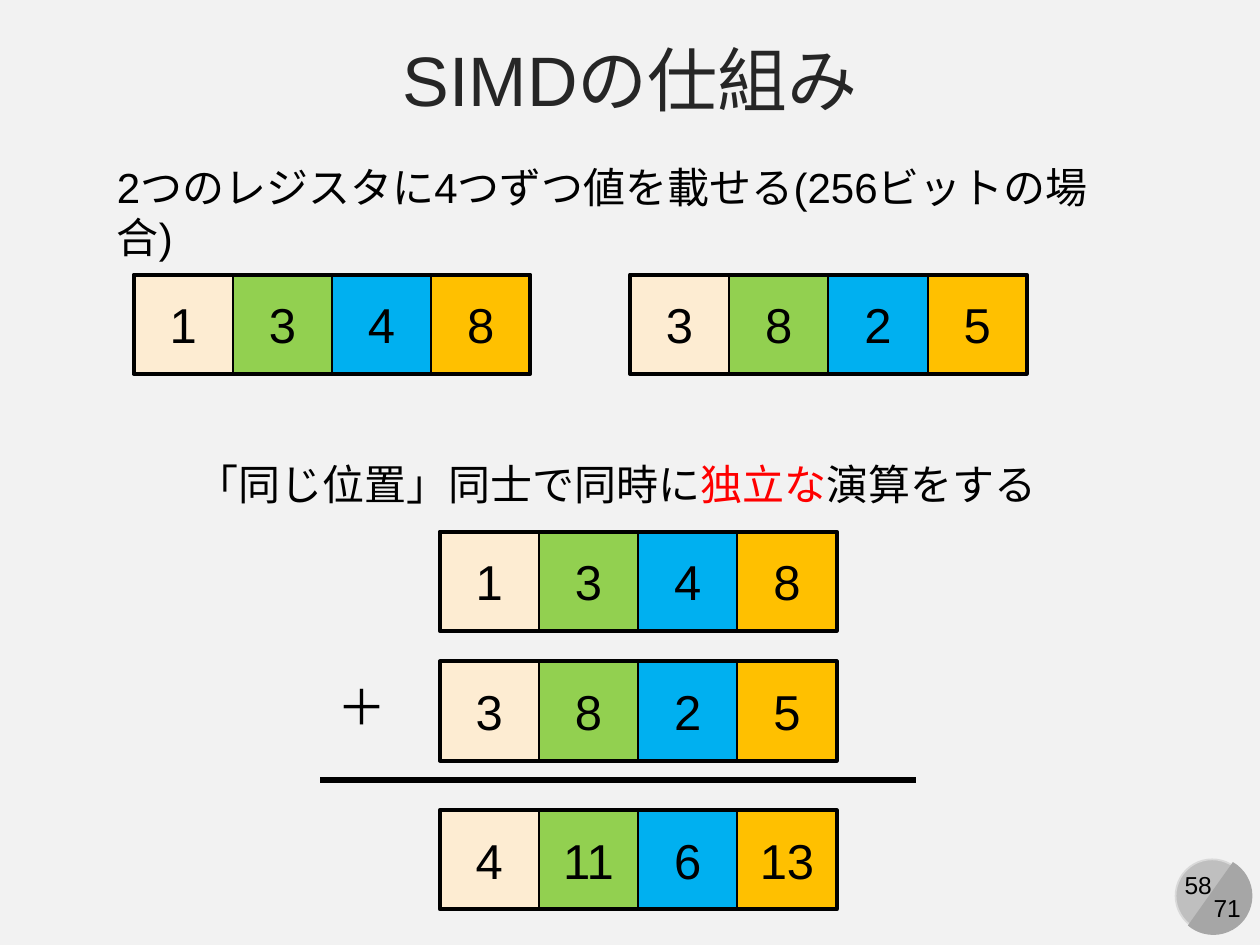
"""Builds the slide that explains how SIMD adds registers."""
from lxml import etree
from pptx import Presentation
from pptx.dml.color import RGBColor
from pptx.enum.shapes import MSO_CONNECTOR, MSO_SHAPE
from pptx.enum.text import MSO_ANCHOR, PP_ALIGN
from pptx.oxml.ns import qn
from pptx.util import Inches, Pt

RECT, OVAL, CHORD = MSO_SHAPE.RECTANGLE, MSO_SHAPE.OVAL, MSO_SHAPE.CHORD
STRAIGHT = MSO_CONNECTOR.STRAIGHT
LEFT, CENTER = PP_ALIGN.LEFT, PP_ALIGN.CENTER
TOP, MIDDLE = MSO_ANCHOR.TOP, MSO_ANCHOR.MIDDLE

FONT, BLACK, RED = "Arial", "000000", "FF0000"
LANES = ["FDECD2", "92D050", "00B0F0", "FFC000"]
BAR = 3.15
CELL = BAR / len(LANES)
SUM_LEFT = 3.49

TITLE = "SIMDの仕組み"
REGISTERS = [
    (1.06, 2.18, [1, 3, 4, 8]),
    (5, 2.18, [3, 8, 2, 5]),
    (SUM_LEFT, 4.22, [1, 3, 4, 8]),
    (SUM_LEFT, 5.25, [3, 8, 2, 5]),
    (SUM_LEFT, 6.43, [4, 11, 6, 13]),
]
LABELS = [
    ((0.83, 1.23, 8.33, 0.5), 24, LEFT, True,
     [("2つのレジスタに4つずつ値を載せる(256ビットの場合)", BLACK)]),
    ((1.46, 3.59, 6.93, 0.5), 24, LEFT, True,
     [("「同じ位置」同士で同時に", BLACK), ("独立な", RED), ("演算をする", BLACK)]),
    ((2.58, 5.32, 0.59, 0.57), 28, LEFT, False, [("＋", BLACK)]),
    ((9.29, 6.86, 0.44, 0.34), 14, CENTER, False, [("58", BLACK)]),
    ((9.53, 7.04, 0.42, 0.34), 14, CENTER, False, [("71", BLACK)]),
]


def rgb(color):
    return RGBColor.from_string(color)


def write(sp, runs, size, align=CENTER, anchor=MIDDLE, wrap=True):
    tf = sp.text_frame
    tf.word_wrap, tf.vertical_anchor = wrap, anchor
    p = tf.paragraphs[0]
    p.alignment, p.space_before = align, Pt(0)
    for text, color in runs:
        r = p.add_run()
        r.text = text
        r.font.name, r.font.size = FONT, Pt(size)
        r.font.color.rgb = rgb(color)


def add_shape(slide, kind, box, fill=None, line=None, width=1):
    sp = slide.shapes.add_shape(kind, *map(Inches, box))
    sp.shadow.inherit = False
    if fill:
        sp.fill.solid()
        sp.fill.fore_color.rgb = rgb(fill)
    else:
        sp.fill.background()
    if line:
        sp.line.color.rgb, sp.line.width = rgb(line), Pt(width)
    else:
        sp.line.fill.background()
    return sp


def add_register(slide, left, top, values):
    for i, (value, fill) in enumerate(zip(values, LANES)):
        sp = add_shape(slide, RECT, (left + i * CELL, top, CELL, CELL), fill, BLACK)
        write(sp, [(str(value), BLACK)], 28)
    add_shape(slide, RECT, (left, top, BAR, CELL), None, BLACK, 2.25)


def add_page_badge(slide):
    add_shape(slide, OVAL, (9.33, 6.82, 0.58, 0.58), "BFBFBF", "D9D9D9")
    sp = add_shape(slide, CHORD, (9.32, 6.8, 0.62, 0.62), "A6A6A6")
    sp.adjustments[1] = 141.42
    sp.rotation = 255


def add_rule(slide, left, right, y):
    line = slide.shapes.add_connector(STRAIGHT, *map(Inches, (left, y, right, y)))
    line.line.color.rgb, line.line.width = rgb(BLACK), Pt(3)
    etree.SubElement(line._element.spPr, qn("a:effectLst"))


def main():
    prs = Presentation()
    prs.slide_width, prs.slide_height = Inches(10), Inches(7.5)
    slide = prs.slides.add_slide(prs.slide_layouts[5])
    slide.background.fill.solid()
    slide.background.fill.fore_color.rgb = rgb("F2F2F2")

    title = slide.shapes.title
    title.left, title.top, title.width, title.height = map(Inches, (0, 0.21, 10, 0.82))
    write(title, [(TITLE, "262626")], 40)

    add_page_badge(slide)
    for left, top, values in REGISTERS:
        add_register(slide, left, top, values)
    add_rule(slide, 2.54, 7.27, 6.19)
    for box, size, align, wrap, runs in LABELS:
        sp = slide.shapes.add_textbox(*map(Inches, box))
        write(sp, runs, size, align, TOP, wrap)
    prs.save("out.pptx")


if __name__ == "__main__":
    main()
